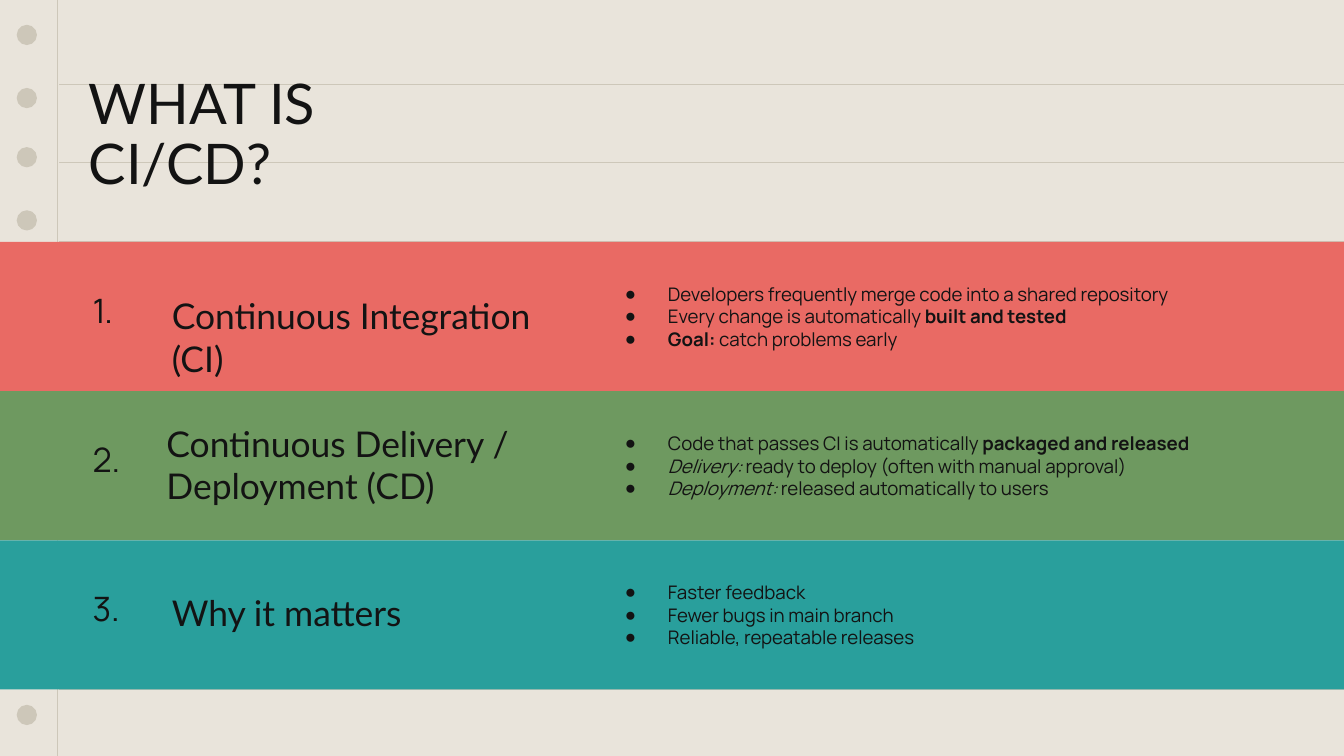
"""Build a ruled-paper slide that explains CI/CD in three coloured bands."""
from dataclasses import dataclass

from lxml import etree
from pptx import Presentation
from pptx import util as u
from pptx.dml.color import RGBColor
from pptx.enum import shapes, text
from pptx.oxml.ns import qn


@dataclass(frozen=True)
class Theme:
    paper: str = "E9E4DB"
    rule: str = "CDC7B9"
    ink: str = "131313"
    bands: tuple = ("E96A64", "6E9960", "299F9C")
    head_font: str = "Lato"
    body_font: str = "Manrope"
    title_size: float = 30
    heading_size: float = 19
    number_size: float = 18
    body_size: float = 10
    rule_width: float = 0.75


THEME = Theme()
WIDTH = 10
HEIGHT = WIDTH * 9 / 16
BAND_TOP, BAND_HEIGHT = 1.8, 1.11
BOLD, ITALIC = {"bold": True}, {"italic": True}
TOPICS = [
    ("Continuous Integration (CI)", (1.18, 2.09, 3.19, 0.52), [
        [("Developers frequently merge code into a shared repository", {})],
        [("Every change is automatically", {}), (" built and tested", BOLD)],
        [("Goal:", BOLD), (" catch problems early", {})],
    ]),
    ("Continuous Delivery / Deployment (CD)", (1.14, 3.04, 3.19, 0.84), [
        [("Code that passes CI is automatically ", {}), ("packaged and released", BOLD)],
        [("Delivery:", ITALIC), (" ready to deploy (often with manual approval)", {})],
        [("Deployment:", ITALIC), (" released automatically to users", {})],
    ]),
    ("Why it matters", (1.18, 4.3, 3.19, 0.52), [
        [("Faster feedback", {})],
        [("Fewer bugs in main branch", {})],
        [("Reliable, repeatable releases", {})],
    ]),
]


def set_attrs(obj, values):
    for name, value in values.items():
        setattr(obj, name, value)


def box(left, top, width, height):
    return [u.Inches(v) for v in (left, top, width, height)]


def paint(fill, color):
    fill.solid()
    fill.fore_color.rgb = RGBColor.from_string(color)


def add_rule(s, x1, y1, x2, y2):
    sp = s.shapes.add_connector(shapes.MSO_CONNECTOR.STRAIGHT, *box(x1, y1, x2, y2))
    paint(sp.line.fill, THEME.rule)
    sp.line.width = u.Pt(THEME.rule_width)
    etree.SubElement(sp._element.spPr, qn("a:effectLst"))


def add_filled(s, kind, at, color, outlined=False):
    sp = s.shapes.add_shape(kind, *box(*at))
    sp.shadow.inherit = False
    paint(sp.fill, color)
    if outlined:
        paint(sp.line.fill, color)
        sp.line.width = u.Pt(THEME.rule_width)
    else:
        sp.line.fill.background()


def format_frame(tf, anchor):
    set_attrs(tf, {"word_wrap": True, "auto_size": text.MSO_AUTO_SIZE.NONE,
                   "vertical_anchor": anchor})
    set_attrs(tf, {f"margin_{side}": u.Inches(0.1)
                   for side in ("left", "top", "right", "bottom")})


def write(p, runs, font, size, spacing=1.0):
    set_attrs(p, {"alignment": text.PP_ALIGN.LEFT, "line_spacing": spacing,
                  "space_before": u.Pt(0), "space_after": u.Pt(0)})
    for content, style in runs:
        for i, line in enumerate(content.split("\v")):
            if i:
                p.add_line_break()
            r = p.add_run()
            r.text = line
            set_attrs(r.font, {"name": font, "size": u.Pt(size),
                               "bold": False, "italic": False, **style})
            r.font.color.rgb = RGBColor.from_string(THEME.ink)


def add_bullet(p):
    pPr = p._p.get_or_add_pPr()
    pPr.set("marL", str(u.Inches(0.5)))
    pPr.set("indent", str(u.Inches(-0.32)))
    color = etree.SubElement(pPr, qn("a:buClr"))
    etree.SubElement(color, qn("a:srgbClr"), val=THEME.ink)
    etree.SubElement(pPr, qn("a:buChar"), char="●")


def place(s, sp, at):
    """Move a placeholder to its box and bring it to the front."""
    set_attrs(sp, dict(zip(("left", "top", "width", "height"), box(*at))))
    s.shapes._spTree.append(sp._element)
    format_frame(sp.text_frame, text.MSO_ANCHOR.MIDDLE)
    return sp.text_frame


def add_title(s, content):
    tf = place(s, s.shapes.title, (0.56, 0.46, 2.89, 1.11))
    write(tf.paragraphs[0], [(content, {})], THEME.head_font, THEME.title_size, 0.9)


def add_list(s, sp, top, items):
    tf = place(s, sp, (4.37, top, 4.72, BAND_HEIGHT))
    for i, runs in enumerate(items):
        p = tf.add_paragraph() if i else tf.paragraphs[0]
        write(p, runs, THEME.body_font, THEME.body_size)
        add_bullet(p)


def add_label(s, content, at, font, size, spacing=1.0):
    tf = s.shapes.add_textbox(*box(*at)).text_frame
    format_frame(tf, text.MSO_ANCHOR.TOP)
    write(tf.paragraphs[0], [(content, {})], font, size, spacing)


def add_paper(s):
    paint(s.background.fill, THEME.paper)
    for y in (0.63, 1.21, 1.8, 5.13):
        add_rule(s, 0.44, y, WIDTH, y)
    add_rule(s, 0.43, 0, 0.43, HEIGHT)
    for y in (0.19, 0.66, 1.1, 1.57, 5.25):
        add_filled(s, shapes.MSO_SHAPE.OVAL, (0.13, y, 0.14, 0.14), THEME.rule, True)


def main():
    prs = Presentation()
    set_attrs(prs, {"slide_width": u.Inches(WIDTH), "slide_height": u.Inches(HEIGHT)})
    s = prs.slides.add_slide(prs.slide_layouts.get_by_name("Comparison"))
    spare, *bodies = [sp for sp in s.placeholders if sp.placeholder_format.idx]
    spare._element.getparent().remove(spare._element)

    add_paper(s)
    add_title(s, "WHAT IS\vCI/CD?")
    for i, (heading, at, items) in enumerate(TOPICS):
        top = BAND_TOP + i * BAND_HEIGHT
        add_filled(s, shapes.MSO_SHAPE.RECTANGLE, (0, top, WIDTH, BAND_HEIGHT), THEME.bands[i])
        add_list(s, bodies[i], top, items)
        add_label(s, heading, at, THEME.head_font, THEME.heading_size)
        add_label(s, f"{i + 1}.", (0.59, top + 0.29, 0.52, 0.47),
                  THEME.body_font, THEME.number_size, 0.9)
    prs.save("out.pptx")


if __name__ == "__main__":
    main()
